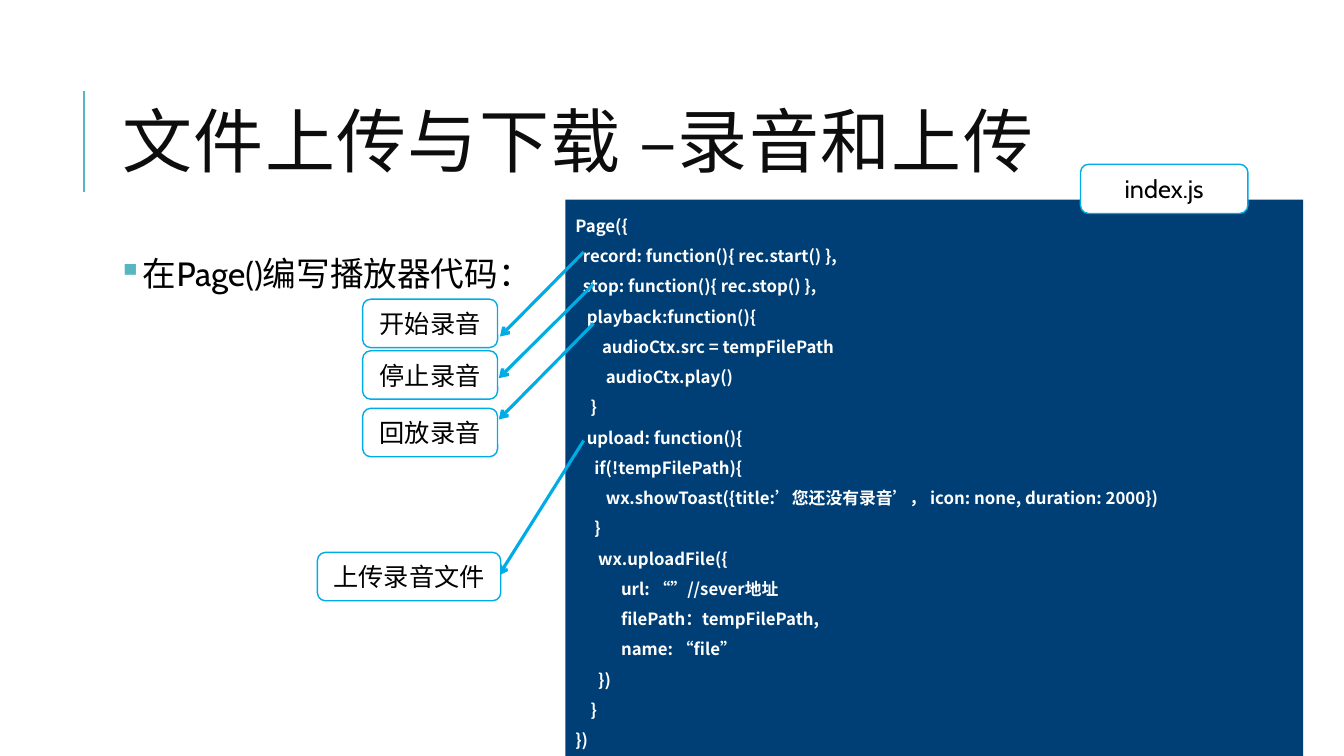
from lxml import etree
from pptx import Presentation
from pptx.dml.color import RGBColor
from pptx.enum.shapes import MSO_CONNECTOR, MSO_SHAPE
from pptx.enum.text import MSO_ANCHOR, MSO_AUTO_SIZE, PP_ALIGN
from pptx.oxml.ns import qn
from pptx.util import Cm, Pt

STRAIGHT = MSO_CONNECTOR.STRAIGHT
RECT = MSO_SHAPE.RECTANGLE
ROUNDED = MSO_SHAPE.ROUNDED_RECTANGLE
TOP, MIDDLE = MSO_ANCHOR.TOP, MSO_ANCHOR.MIDDLE
NO_FIT = MSO_AUTO_SIZE.NONE
LEFT, CENTER = PP_ALIGN.LEFT, PP_ALIGN.CENTER

CJK = "Noto Sans CJK SC"
BLUE, TEAL, NAVY, WHITE = "00ACE6", "58B6C0", "003F75", "FFFFFF"

TITLE = {"font": {"name": "Calibri", "size": Pt(50)}, "color": "0D0D0D",
         "para": {"line_spacing": 0.8, "alignment": LEFT}}
BODY = {"font": {"name": "Cabin", "size": Pt(24)}, "color": "000000",
        "para": {"line_spacing": 0.9, "space_after": Pt(2), "alignment": LEFT}}
CODE = {"font": {"name": CJK, "size": Pt(12), "bold": True}, "color": WHITE,
        "para": {"line_spacing": 1.5, "alignment": LEFT}}
LABEL = {"font": {"name": "Cabin", "size": Pt(18)}, "color": "000000",
         "para": {"alignment": CENTER}}

CODE_LINES = """Page({
  record: function(){ rec.start() },
  stop: function(){ rec.stop() },
   playback:function(){
       audioCtx.src = tempFilePath
        audioCtx.play()
    }
   upload: function(){
     if(!tempFilePath){
        wx.showToast({title:’您还没有录音’， icon: none, duration: 2000})
     }
      wx.uploadFile({
            url: “”//sever地址
            filePath：tempFilePath,
            name: “file”
      })
    }
})""".split("\n")

CALLOUTS = [
    ("开始录音", (9.14, 7.54, 3.4, 1.22), (14.71, 6.35, 12.6, 8.48)),
    ("停止录音", (9.14, 8.84, 3.4, 1.22), (14.96, 7.16, 12.57, 9.53)),
    ("回放录音", (9.14, 10.29, 3.4, 1.22), (14.96, 8.15, 12.57, 10.57)),
    ("上传录音文件", (8, 13.92, 4.62, 1.22), (14.71, 11.1, 12.57, 14.5)),
]


def rgb(value):
    """Turn a hex string into a colour."""
    return RGBColor.from_string(value)


def apply(target, values):
    """Set each named attribute on the target."""
    for name, value in values.items():
        setattr(target, name, value)


def write(tf, lines, fmt):
    """Write one formatted paragraph per line and return the first."""
    tf.word_wrap = True
    for i, line in enumerate(lines):
        p = tf.paragraphs[0] if i == 0 else tf.add_paragraph()
        apply(p, fmt["para"])
        r = p.add_run()
        r.text = line
        apply(r.font, fmt["font"])
        r.font.color.rgb = rgb(fmt["color"])
        etree.SubElement(r.font._element, qn("a:ea"), typeface=CJK)
    return tf.paragraphs[0]


def add_text(s, box, text, fmt, **frame):
    """Add a text box and return its paragraph."""
    tf = s.shapes.add_textbox(*map(Cm, box)).text_frame
    p = write(tf, [text], fmt)
    apply(tf, {"auto_size": NO_FIT, **frame})
    return p


def add_box(s, kind, box, lines, fmt, fill, line=None):
    """Add a filled shape with text."""
    sp = s.shapes.add_shape(kind, *map(Cm, box))
    sp.shadow.inherit = False
    sp.fill.solid()
    sp.fill.fore_color.rgb = rgb(fill)
    if line:
        sp.line.color.rgb = rgb(line)
        sp.line.width = Pt(1)
    else:
        sp.line.fill.background()
    sp.text_frame.vertical_anchor = MIDDLE
    write(sp.text_frame, lines, fmt)


def add_line(s, ends, color, width, arrow=False):
    """Add a straight line, with an arrowhead at its end if asked."""
    sp = s.shapes.add_connector(STRAIGHT, *map(Cm, ends))
    sp.line.color.rgb = rgb(color)
    sp.line.width = Pt(width)
    if arrow:
        etree.SubElement(sp.line._get_or_add_ln(), qn("a:tailEnd"), type="arrow")
    etree.SubElement(sp._element.spPr, qn("a:effectLst"))


def add_bullet(p, char, color, indent):
    """Give a paragraph a coloured bullet and a hanging indent."""
    pPr = p._p.get_or_add_pPr()
    pPr.set("marL", str(indent))
    pPr.set("indent", str(-indent))
    clr = etree.SubElement(pPr, qn("a:buClr"))
    etree.SubElement(clr, qn("a:srgbClr"), val=color)
    etree.SubElement(pPr, qn("a:buChar"), char=char)


def main():
    """Build the slide and save it."""
    prs = Presentation()
    apply(prs, {"slide_width": Cm(33.87), "slide_height": Cm(19.05)})
    s = prs.slides.add_slide(prs.slide_layouts[6])

    add_line(s, (2.11, 4.83, 2.11, 2.29), TEAL, 1.5)
    p = add_text(s, (2.84, 1.63, 27, 4.17), "文件上传与下载 –录音和上传", TITLE,
                 vertical_anchor=MIDDLE)
    p.runs[0].font._element.set("spc", "100")

    inset = Cm(0.13)
    p = add_text(s, (2.84, 6.35, 24.23, 4.14), "在Page()编写播放器代码：", BODY,
                 vertical_anchor=TOP, margin_left=inset, margin_right=inset,
                 margin_top=inset, margin_bottom=inset)
    add_bullet(p, "▪", TEAL, Cm(0.25))

    add_box(s, RECT, (14.25, 5.03, 18.59, 14.02), CODE_LINES, CODE, NAVY)
    add_box(s, ROUNDED, (27.23, 4.14, 4.22, 1.24), ["index.js"], LABEL, WHITE, BLUE)
    for text, box, ends in CALLOUTS:
        add_line(s, ends, BLUE, 2.25, arrow=True)
        add_box(s, ROUNDED, box, [text], LABEL, WHITE, BLUE)

    prs.save("out.pptx")


if __name__ == "__main__":
    main()
